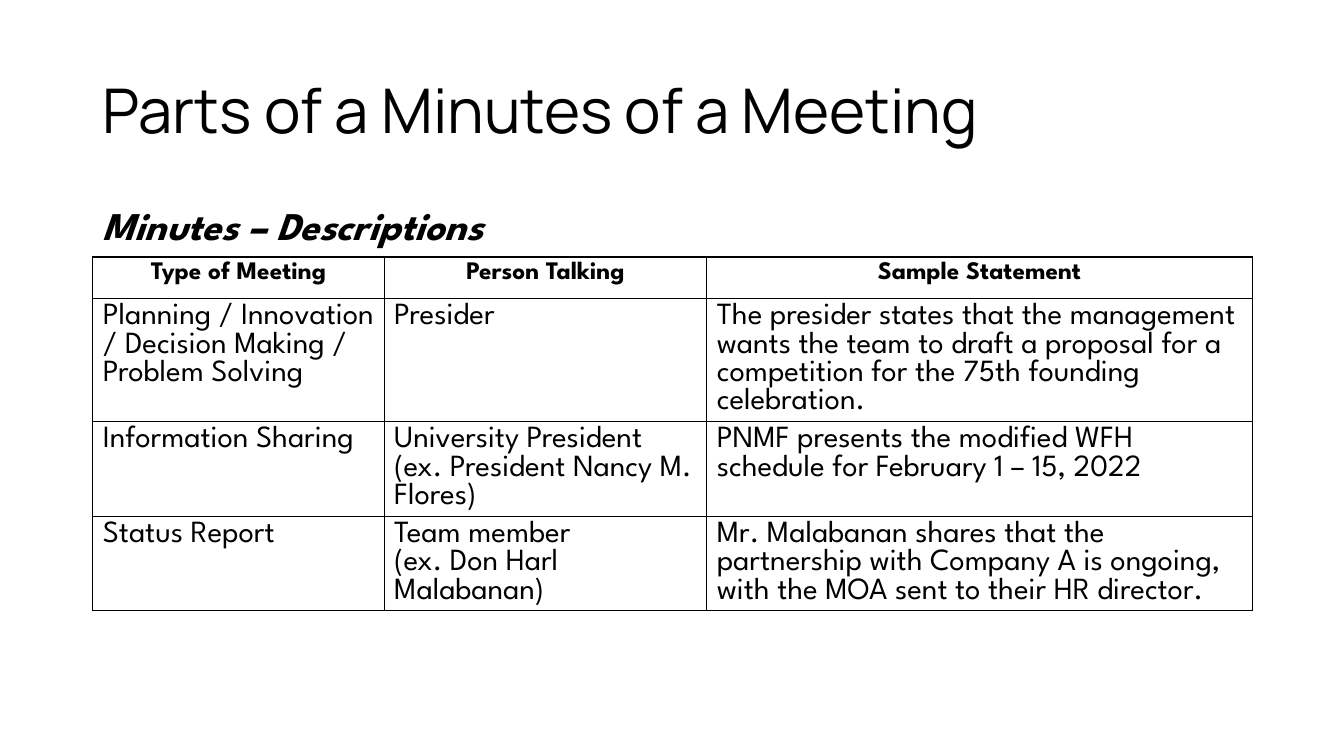
"""Build the slide on the parts of a minutes of a meeting."""
from lxml import etree
from pptx import Presentation
from pptx.dml.color import RGBColor
from pptx.enum.text import MSO_ANCHOR, MSO_AUTO_SIZE, PP_ALIGN
from pptx.oxml.ns import qn
from pptx.util import Inches, Pt

LEFT, CENTER = PP_ALIGN.LEFT, PP_ALIGN.CENTER
TOP, MIDDLE = MSO_ANCHOR.TOP, MSO_ANCHOR.MIDDLE
NO_FIT = MSO_AUTO_SIZE.NONE
COLORS = {"ink": "000000", "line": "000000"}
HEAD, BODY = "Manrope", "League Spartan"
EDGE, WIDTH = 0.92, 11.5
COLS = [2.89, 3.2, 5.41]
ROW = 0.41
ROWS = [
    ["Type of Meeting", "Person Talking", "Sample Statement"],
    [
        "Planning / Innovation / Decision Making / Problem Solving",
        "Presider",
        "The presider states that the management wants the team to draft "
        "a proposal for a competition for the 75th founding celebration.",
    ],
    [
        "Information Sharing",
        "University President\n(ex. President Nancy M. Flores)",
        "PNMF presents the modified WFH schedule for February 1 – 15, 2022",
    ],
    [
        "Status Report",
        "Team member\n(ex. Don Harl Malabanan)",
        "Mr. Malabanan shares that the partnership with Company A is ongoing, "
        "with the MOA sent to their HR director.",
    ],
]


def add_run(para, text, font, size, bold=False, italic=False):
    """Add one styled run to a paragraph."""
    run = para.add_run()
    run.text = text
    run.font.name = font
    run.font.size = Pt(size)
    run.font.bold = bold
    run.font.italic = italic
    run.font.color.rgb = RGBColor.from_string(COLORS["ink"])


def set_frame(frame, anchor):
    """Wrap the text, fix its size and return the first paragraph."""
    frame.word_wrap = True
    frame.auto_size = NO_FIT
    frame.vertical_anchor = anchor
    para = frame.paragraphs[0]
    para.alignment = LEFT
    para.line_spacing = 0.9
    return para


def add_title(slide, text):
    """Place and fill the title placeholder."""
    title = slide.shapes.title
    title.left, title.top = Inches(EDGE), Inches(0.4)
    title.width, title.height = Inches(WIDTH), Inches(1.45)
    add_run(set_frame(title.text_frame, MIDDLE), text, HEAD, 44)


def add_label(slide, text):
    """Add the heading above the table."""
    box = slide.shapes.add_textbox(
        Inches(EDGE), Inches(2), Inches(WIDTH), Inches(0.55))
    para = set_frame(box.text_frame, TOP)
    para.space_before = Pt(10)
    add_run(para, text, BODY, 28, bold=True, italic=True)


def add_border(cell):
    """Draw a thin line on each side of a cell."""
    props = cell._tc.get_or_add_tcPr()
    for spot, side in enumerate(("lnL", "lnR", "lnT", "lnB")):
        line = etree.Element(qn(f"a:{side}"), w=str(Pt(1)))
        fill = etree.SubElement(line, qn("a:solidFill"))
        etree.SubElement(fill, qn("a:srgbClr"), val=COLORS["line"])
        props.insert(spot, line)


def fill_cell(cell, text, head):
    """Write a cell, one paragraph for each line of its text."""
    cell.fill.background()
    add_border(cell)
    frame = cell.text_frame
    for num, part in enumerate(text.split("\n")):
        para = frame.add_paragraph() if num else frame.paragraphs[0]
        para.alignment = CENTER if head else LEFT
        add_run(para, part, BODY, 18 if head else 22, bold=head)


def add_grid(slide):
    """Add the table of meeting types."""
    table = slide.shapes.add_table(
        len(ROWS), len(COLS), Inches(EDGE), Inches(2.55),
        Inches(WIDTH), Inches(ROW * len(ROWS))).table
    table.first_row = False
    table.horz_banding = False
    for col, width in zip(table.columns, COLS):
        col.width = Inches(width)
    for row, texts in enumerate(ROWS):
        table.rows[row].height = Inches(ROW)
        for col, text in enumerate(texts):
            fill_cell(table.cell(row, col), text, row == 0)


def main():
    """Build and save the slide."""
    deck = Presentation()
    deck.slide_width, deck.slide_height = Inches(13.33), Inches(7.5)
    slide = deck.slides.add_slide(deck.slide_layouts[5])
    add_title(slide, "Parts of a Minutes of a Meeting")
    add_grid(slide)
    add_label(slide, "Minutes – Descriptions")
    deck.save("out.pptx")


if __name__ == "__main__":
    main()
